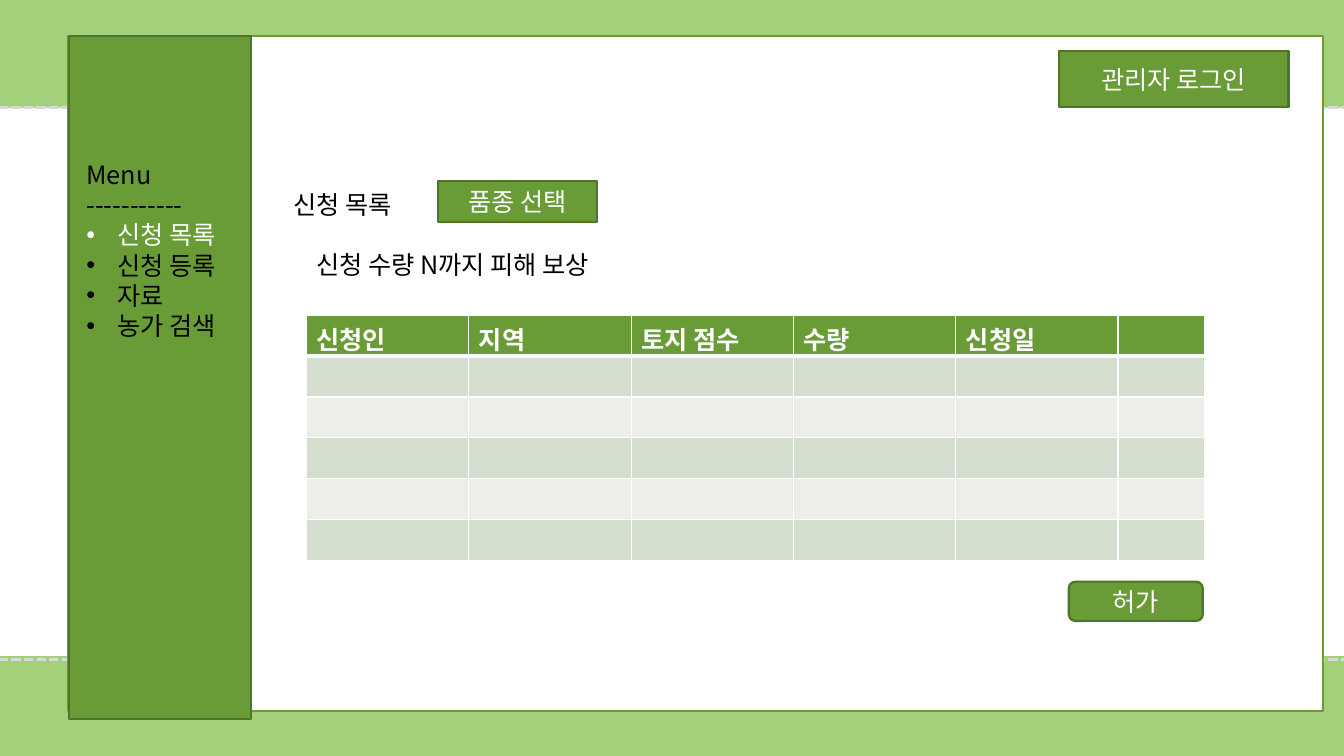
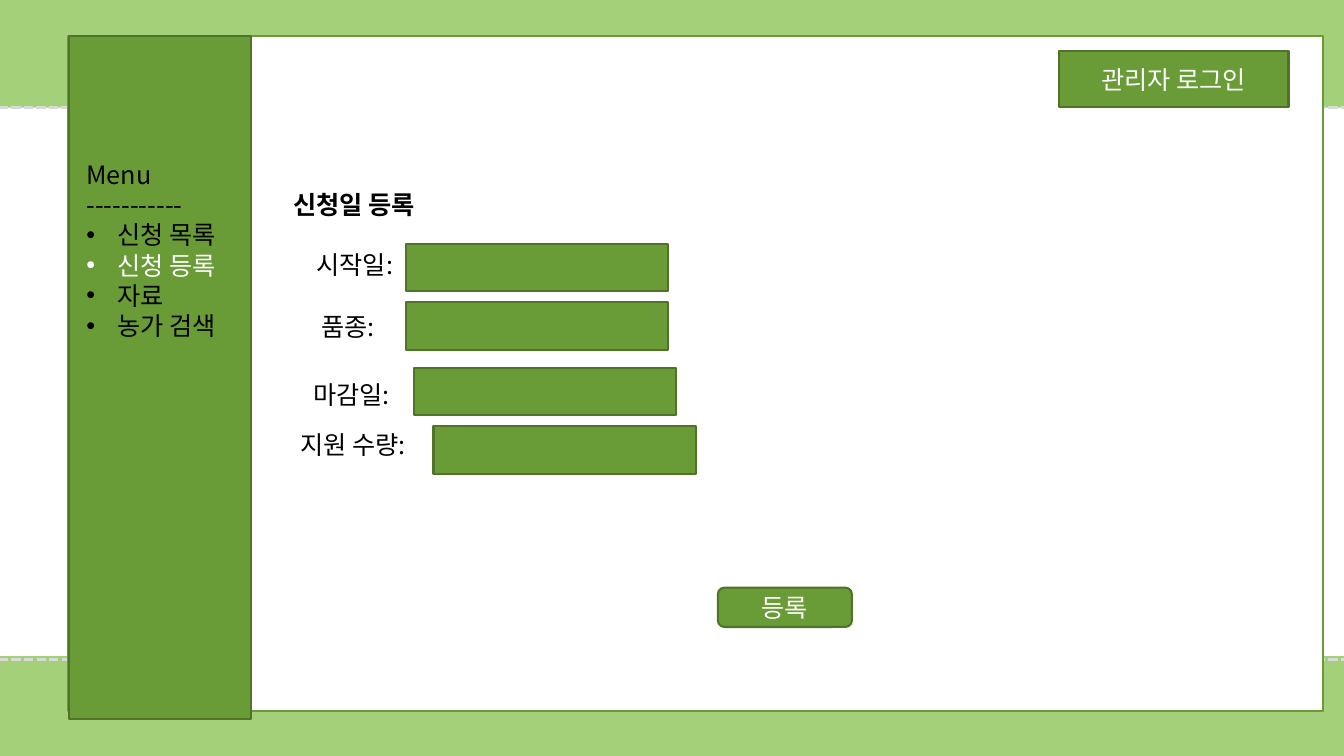
from dataclasses import dataclass

from lxml import etree
from pptx import Presentation
from pptx import util as u
from pptx.dml.color import RGBColor
from pptx.enum import dml, shapes, text
from pptx.oxml.ns import qn


@dataclass(frozen=True)
class Theme:
    font: str = "Noto Sans CJK KR"
    size: float = 18
    band: str = "A5D07A"
    green: str = "699B37"
    outline: str = "4E7329"
    dash: str = "D9D9D9"
    white: str = "FFFFFF"
    black: str = "000000"
    stripes: tuple = ("D4DECE", "EBEFE8")
    border: float = 1.5
    dash_width: float = 2.25
    cell_border: float = 1
    header_border: float = 3


THEME = Theme()
RECTANGLE = shapes.MSO_SHAPE.RECTANGLE
MENU = ["신청 목록", "신청 등록", "자료", "농가 검색"]
BULLET_INDENT = u.Inches(0.31)
FIELD_SIZE = (2.6, 0.47)
BUTTON_SIZE = (1.33, 0.39)


def inches(*lengths):
    return [u.Inches(length) for length in lengths]


def set_format(target, values):
    for name, value in values.items():
        setattr(target, name, value)


def write(paragraph, content, color=THEME.black, bold=False):
    run = paragraph.add_run()
    run.text = content
    set_format(run.font, {"name": THEME.font, "size": u.Pt(THEME.size), "bold": bold})
    run.font.color.rgb = RGBColor.from_string(color)
    properties = run.font._element
    etree.SubElement(properties, qn("a:ea")).set("typeface", THEME.font)


def add_box(slide, bounds, fill=THEME.green, line=THEME.outline, label="", kind=RECTANGLE):
    shape = slide.shapes.add_shape(kind, *inches(*bounds))
    shape.shadow.inherit = False
    shape.fill.solid()
    shape.fill.fore_color.rgb = RGBColor.from_string(fill)
    if line:
        shape.line.color.rgb = RGBColor.from_string(line)
        shape.line.width = u.Pt(THEME.border)
    else:
        shape.line.fill.background()
    if label:
        shape.text_frame.vertical_anchor = text.MSO_ANCHOR.MIDDLE
        paragraph = shape.text_frame.paragraphs[0]
        paragraph.alignment = text.PP_ALIGN.CENTER
        write(paragraph, label, THEME.white)
    return shape


def add_button(slide, left, top, label):
    add_box(slide, (left, top, *BUTTON_SIZE), label=label,
            kind=shapes.MSO_SHAPE.ROUNDED_RECTANGLE)


def format_frame(frame):
    set_format(frame, {
        "word_wrap": False,
        "auto_size": text.MSO_AUTO_SIZE.SHAPE_TO_FIT_TEXT,
        "vertical_anchor": text.MSO_ANCHOR.TOP,
    })


def add_label(slide, bounds, content):
    frame = slide.shapes.add_textbox(*inches(*bounds)).text_frame
    format_frame(frame)
    write(frame.paragraphs[0], content)


def add_stitch(slide, start, end, top):
    connector = slide.shapes.add_connector(
        shapes.MSO_CONNECTOR.STRAIGHT, *inches(start, top, end, top))
    connector.line.color.rgb = RGBColor.from_string(THEME.dash)
    set_format(connector.line, {
        "width": u.Pt(THEME.dash_width),
        "dash_style": dml.MSO_LINE.SQUARE_DOT,
    })
    etree.SubElement(connector._element.spPr, qn("a:effectLst"))


def add_bullet(paragraph):
    properties = paragraph._p.get_or_add_pPr()
    properties.set("marL", str(BULLET_INDENT))
    properties.set("indent", str(-BULLET_INDENT))
    etree.SubElement(properties, qn("a:buFont")).set("typeface", "Arial")
    etree.SubElement(properties, qn("a:buChar")).set("char", "•")


def add_menu(slide, active):
    frame = slide.shapes.add_textbox(*inches(0.76, 1.53, 1.57, 2.22)).text_frame
    format_frame(frame)
    write(frame.paragraphs[0], "Menu")
    write(frame.add_paragraph(), "-----------")
    for item in MENU:
        paragraph = frame.add_paragraph()
        add_bullet(paragraph)
        write(paragraph, item, THEME.white if item == active else THEME.black)


def place_title(slide, width, content, bold=False):
    title = slide.shapes.title
    left, top, width, height = inches(2.81, 1.83, width, 0.4)
    set_format(title, {"left": left, "top": top, "width": width, "height": height})
    format_frame(title.text_frame)
    paragraph = title.text_frame.paragraphs[0]
    paragraph.alignment = text.PP_ALIGN.LEFT
    write(paragraph, content, bold=bold)
    title.element.getparent().append(title.element)


def add_page(presentation, active, title, title_width, bold=False):
    slide = presentation.slides.add_slide(presentation.slide_layouts[5])
    add_box(slide, (-0.26, -0.19, 14.02, 1.26), THEME.band, None)
    add_box(slide, (-0.34, 6.51, 14.02, 1.26), THEME.band, None)
    add_stitch(slide, -0.26, 13.46, 6.54)
    add_stitch(slide, -0.51, 14, 1.07)
    add_box(slide, (0.68, 0.36, 12.44, 6.69), THEME.white, THEME.green)
    add_box(slide, (10.5, 0.51, 2.28, 0.55), label="관리자 로그인")
    add_box(slide, (0.68, 0.36, 1.81, 6.77))
    add_menu(slide, active)
    place_title(slide, title_width, title, bold)
    return slide


def set_borders(cell, bottom, top):
    properties = cell._tc.get_or_add_tcPr()
    widths = {"lnL": THEME.cell_border, "lnR": THEME.cell_border, "lnT": top, "lnB": bottom}
    for position, (side, width) in enumerate(widths.items()):
        line = etree.Element(qn(f"a:{side}"), w=str(u.Pt(width)))
        fill = etree.SubElement(line, qn("a:solidFill"))
        etree.SubElement(fill, qn("a:srgbClr")).set("val", THEME.white)
        properties.insert(position, line)


def add_grid(slide, bounds, headers, widths, row_count):
    table = slide.shapes.add_table(row_count, len(headers), *inches(*bounds)).table
    for column, width in zip(table.columns, widths):
        column.width = u.Inches(width)
    for row_index, row in enumerate(table.rows):
        fill = THEME.stripes[(row_index - 1) % 2] if row_index else THEME.green
        bottom = THEME.cell_border if row_index else THEME.header_border
        top = THEME.header_border if row_index == 1 else THEME.cell_border
        for cell, header in zip(row.cells, headers):
            cell.fill.solid()
            cell.fill.fore_color.rgb = RGBColor.from_string(fill)
            set_borders(cell, bottom, top)
            if row_index == 0 and header:
                write(cell.text_frame.paragraphs[0], header, THEME.white, True)


def add_field(slide, label, label_bounds, field_left, field_top):
    add_label(slide, label_bounds, label)
    add_box(slide, (field_left, field_top, *FIELD_SIZE))


def build_list_page(presentation):
    slide = add_page(presentation, "신청 목록", "신청 목록", 1.26)
    add_box(slide, (4.34, 1.8, 1.58, 0.4), label="품종 선택")
    headers = ["신청인", "지역", "토지 점수", "수량", "신청일", ""]
    add_grid(slide, (3.04, 3.13, 8.89, 2.43), headers, [1.61] * 5 + [0.86], 6)
    add_button(slide, 10.6, 5.77, "허가")
    add_label(slide, (3.04, 2.42, 3.14, 0.4), "신청 수량 N까지 피해 보상")


def build_form_page(presentation):
    slide = add_page(presentation, "신청 등록", "신청일 등록", 1.5, bold=True)
    add_field(slide, "시작일:", (3.04, 2.42, 1.09, 0.4), 4.03, 2.42)
    add_field(slide, "품종:", (3.09, 3.04, 0.85, 0.4), 4.03, 3)
    add_field(slide, "마감일:", (3.01, 3.71, 1.09, 0.4), 4.11, 3.65)
    add_field(slide, "지원 수량:", (2.88, 4.21, 1.41, 0.4), 4.3, 4.23)
    add_button(slide, 7.12, 5.83, "등록")


def main():
    presentation = Presentation()
    set_format(presentation, {"slide_width": u.Inches(13.33), "slide_height": u.Inches(7.5)})
    build_list_page(presentation)
    build_form_page(presentation)
    presentation.save("out.pptx")


if __name__ == "__main__":
    main()
